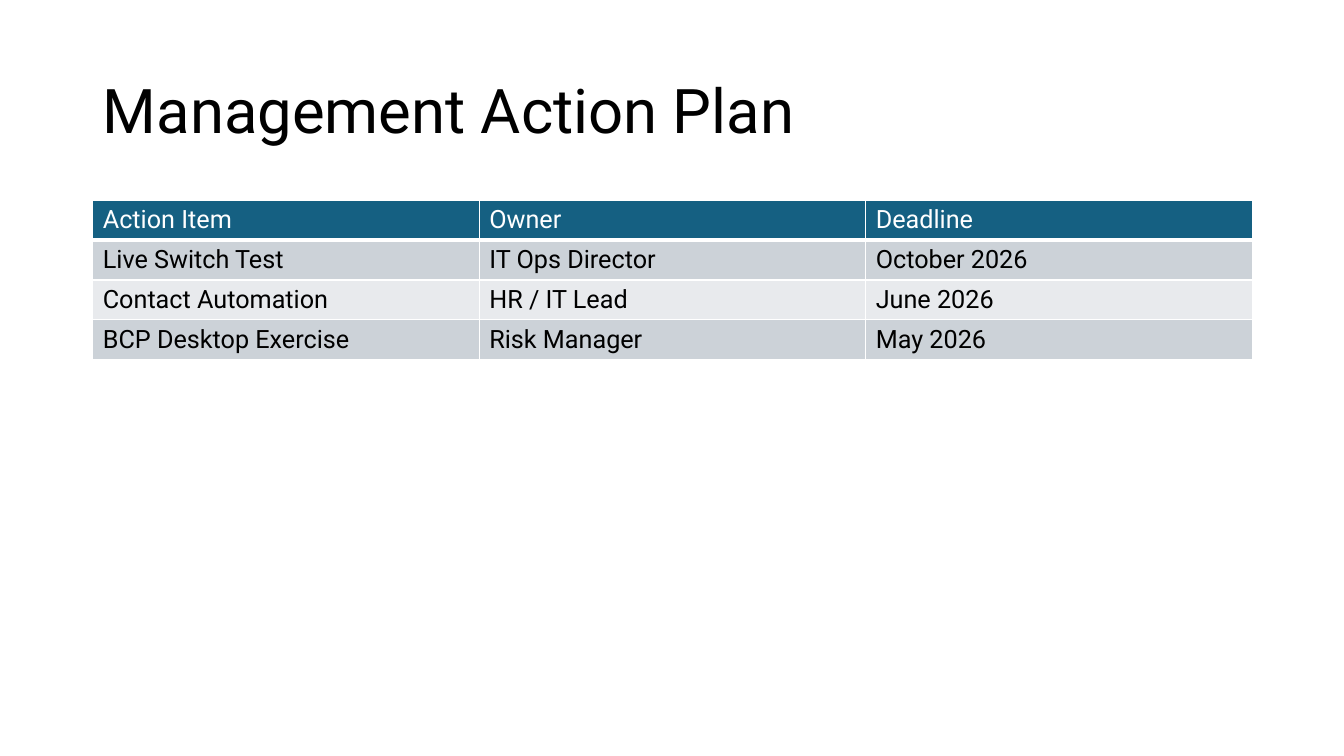
from lxml import etree
from pptx import Presentation
from pptx.dml.color import RGBColor
from pptx.enum.text import MSO_ANCHOR, MSO_AUTO_SIZE, PP_ALIGN
from pptx.oxml.ns import qn
from pptx.util import Inches, Pt

LEFT = PP_ALIGN.LEFT
MIDDLE = MSO_ANCHOR.MIDDLE
NO_FIT = MSO_AUTO_SIZE.NONE
TITLE_ONLY = 5

COLORS = {
    "white": "FFFFFF",
    "black": "000000",
    "header": "156082",
    "odd_row": "CCD2D8",
    "even_row": "E8EAED",
}
TITLE_FONT = {"name": "Roboto", "size": Pt(44), "bold": False}
TABLE_FONT = {"name": "Roboto", "size": Pt(18), "bold": False}

LEFT_EDGE, CONTENT_WIDTH = 0.92, 11.5
TABLE_TOP, ROW_HEIGHT = 1.99, 0.39

ACTIONS = [
    ("Action Item", "Owner", "Deadline"),
    ("Live Switch Test", "IT Ops Director", "October 2026"),
    ("Contact Automation", "HR / IT Lead", "June 2026"),
    ("BCP Desktop Exercise", "Risk Manager", "May 2026"),
]


def rgb(color):
    return RGBColor.from_string(COLORS[color])


def write_text(frame, text, font_format, color):
    para = frame.paragraphs[0]
    para.alignment = LEFT
    span = para.add_run()
    span.text = text
    for name, value in font_format.items():
        setattr(span.font, name, value)
    span.font.color.rgb = rgb(color)
    return para


def set_borders(cell, widths):
    properties = cell._tc.get_or_add_tcPr()
    for side, width in widths.items():
        line = etree.SubElement(properties, qn(f"a:ln{side}"), w=str(Pt(width)))
        fill = etree.SubElement(line, qn("a:solidFill"))
        etree.SubElement(fill, qn("a:srgbClr"), val=COLORS["white"])


def add_title(page, text):
    title = page.shapes.title
    title.left, title.top = Inches(LEFT_EDGE), Inches(0.4)
    title.width, title.height = Inches(CONTENT_WIDTH), Inches(1.45)
    frame = title.text_frame
    frame.auto_size = NO_FIT
    frame.vertical_anchor = MIDDLE
    para = write_text(frame, text, TITLE_FONT, "black")
    para.line_spacing = 0.9


def add_action_table(page, rows):
    table = page.shapes.add_table(
        len(rows), len(rows[0]), Inches(LEFT_EDGE), Inches(TABLE_TOP),
        Inches(CONTENT_WIDTH), Inches(ROW_HEIGHT * len(rows))).table
    for row_index, row in enumerate(rows):
        is_header = row_index == 0
        band = "odd_row" if row_index % 2 else "even_row"
        # The header is set off by a heavier lower rule
        widths = {"L": 1, "R": 1, "T": 1, "B": 3 if is_header else 1}
        for column_index, text in enumerate(row):
            cell = table.cell(row_index, column_index)
            set_borders(cell, widths)
            cell.fill.solid()
            cell.fill.fore_color.rgb = rgb("header" if is_header else band)
            write_text(cell.text_frame, text, TABLE_FONT,
                       "white" if is_header else "black")


def main():
    deck = Presentation()
    deck.slide_width, deck.slide_height = Inches(13.33), Inches(7.5)
    page = deck.slides.add_slide(deck.slide_layouts[TITLE_ONLY])
    add_title(page, "Management Action Plan")
    add_action_table(page, ACTIONS)
    deck.save("out.pptx")


if __name__ == "__main__":
    main()
